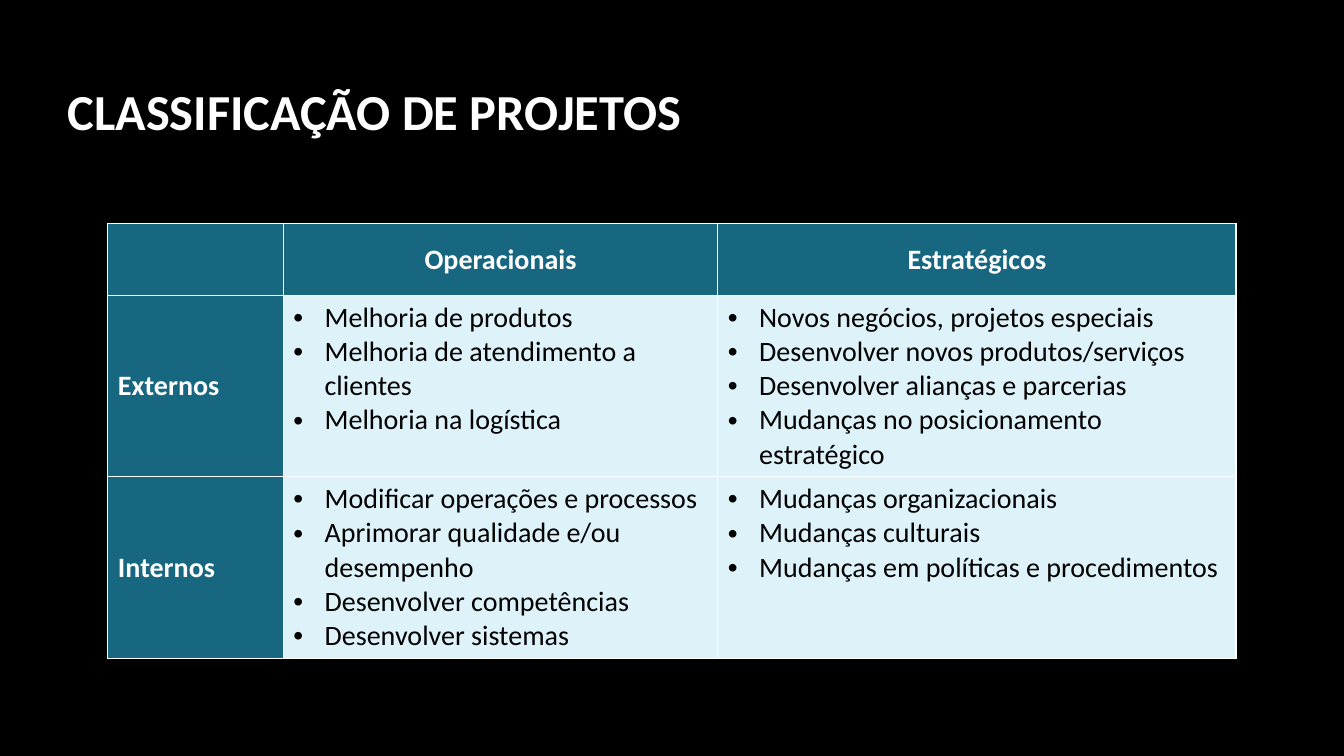
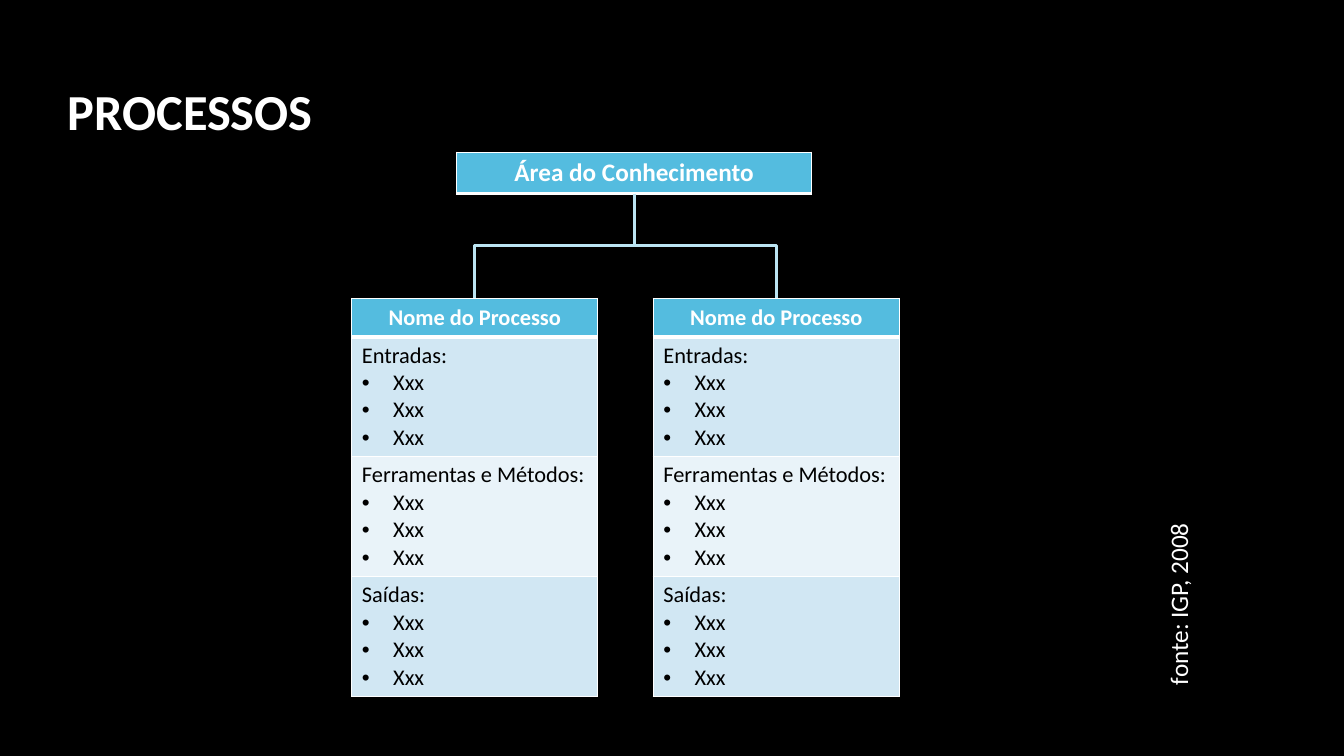
import pptx
import pptx.dml.color
import pptx.enum.shapes
import pptx.enum.text
import pptx.oxml.ns
import pptx.util
from lxml import etree

Inches = pptx.util.Inches
Pt = pptx.util.Pt
RGBColor = pptx.dml.color.RGBColor
Align = pptx.enum.text.PP_ALIGN
Anchor = pptx.enum.text.MSO_ANCHOR
qn = pptx.oxml.ns.qn

BLACK = RGBColor(0x00, 0x00, 0x00)
WHITE = RGBColor(0xFF, 0xFF, 0xFF)
TEAL = RGBColor(0x18, 0x67, 0x81)
PALE_BLUE = RGBColor(0xDD, 0xF2, 0xF9)
SKY = RGBColor(0x54, 0xBC, 0xDF)
BAND_DARK = RGBColor(0xD1, 0xE7, 0xF3)
BAND_LIGHT = RGBColor(0xE9, 0xF3, 0xF9)
BRANCH = RGBColor(0xBB, 0xE4, 0xF2)
FONT = "Calibri"
THIN, THICK = 1, 3

CLASSES = ["Operacionais", "Estratégicos"]
PROJECTS = {
    "Externos": [
        ["Melhoria de produtos", "Melhoria de atendimento a clientes",
         "Melhoria na logística"],
        ["Novos negócios, projetos especiais",
         "Desenvolver novos produtos/serviços",
         "Desenvolver alianças e parcerias",
         "Mudanças no posicionamento estratégico"],
    ],
    "Internos": [
        ["Modificar operações e processos",
         "Aprimorar qualidade e/ou desempenho",
         "Desenvolver competências", "Desenvolver sistemas"],
        ["Mudanças organizacionais", "Mudanças culturais",
         "Mudanças em políticas e procedimentos"],
    ],
}
PROCESS_PARTS = ["Entradas:", "Ferramentas e Métodos:", "Saídas:"]


def add_run(paragraph, text, size, color, bold=False):
    run = paragraph.add_run()
    run.text = text
    run.font.name = FONT
    run.font.size = Pt(size)
    run.font.bold = bold
    run.font.color.rgb = color


def add_bullet(paragraph):
    properties = paragraph._p.get_or_add_pPr()
    properties.set("marL", str(Inches(0.31)))
    properties.set("indent", str(-Inches(0.31)))
    etree.SubElement(properties, qn("a:buFont")).set("typeface", "Arial")
    etree.SubElement(properties, qn("a:buChar")).set("char", "•")


def paint_cell(cell, color, top=THIN, bottom=THIN):
    properties = cell._tc.get_or_add_tcPr()
    for side, weight in (("L", THIN), ("R", THIN), ("T", top), ("B", bottom)):
        border = etree.SubElement(properties, qn("a:ln" + side))
        border.set("w", str(Pt(weight)))
        fill = etree.SubElement(border, qn("a:solidFill"))
        etree.SubElement(fill, qn("a:srgbClr")).set("val", str(WHITE))
    cell.fill.solid()
    cell.fill.fore_color.rgb = color


def write_heading(cell, text, size, align=Align.CENTER):
    cell.vertical_anchor = Anchor.MIDDLE
    paragraph = cell.text_frame.paragraphs[0]
    paragraph.alignment = align
    add_run(paragraph, text, size, WHITE, bold=True)


def write_list(cell, items, size, lead=None):
    lines = ([lead] if lead else []) + items
    for index, text in enumerate(lines):
        frame = cell.text_frame
        paragraph = frame.add_paragraph() if index else frame.paragraphs[0]
        if not (lead and index == 0):
            add_bullet(paragraph)
        add_run(paragraph, text, size, BLACK)


def add_grid(slide, left, top, widths, heights):
    grid = slide.shapes.add_table(
        len(heights), len(widths), Inches(left), Inches(top),
        Inches(sum(widths)), Inches(sum(heights))).table
    grid.first_row = False
    grid.horz_banding = False
    for column, width in zip(grid.columns, widths):
        column.width = Inches(width)
    for row, height in zip(grid.rows, heights):
        row.height = Inches(height)
    return grid


def add_titled_slide(deck, text):
    slide = deck.slides.add_slide(deck.slide_layouts[5])
    title = slide.shapes.title
    title.left, title.top = Inches(0.57), Inches(0.39)
    title.width, title.height = Inches(12.21), Inches(1.48)
    title.text_frame.vertical_anchor = Anchor.MIDDLE
    paragraph = title.text_frame.paragraphs[0]
    paragraph.alignment = Align.LEFT
    paragraph.line_spacing = 0.9
    add_run(paragraph, text, 36, WHITE, bold=True)
    return slide


def add_project_matrix(slide, left, top):
    matrix = add_grid(slide, left, top, [1.74, 4.31, 5.14], [0.71, 1.8, 1.8])
    paint_cell(matrix.cell(0, 0), TEAL)
    for column, name in enumerate(CLASSES, 1):
        paint_cell(matrix.cell(0, column), TEAL)
        write_heading(matrix.cell(0, column), name, 20)
    for row, (scope, lists) in enumerate(PROJECTS.items(), 1):
        paint_cell(matrix.cell(row, 0), TEAL)
        write_heading(matrix.cell(row, 0), scope, 20, Align.LEFT)
        for column, items in enumerate(lists, 1):
            paint_cell(matrix.cell(row, column), PALE_BLUE)
            write_list(matrix.cell(row, column), items, 20)


def add_process_card(slide, left, top, width):
    card = add_grid(slide, left, top, [width], [0.38] + [1.19] * 3)
    paint_cell(card.cell(0, 0), SKY, bottom=THICK)
    write_heading(card.cell(0, 0), "Nome do Processo", 16)
    for row, part in enumerate(PROCESS_PARTS, 1):
        paint_cell(card.cell(row, 0), BAND_DARK if row % 2 else BAND_LIGHT,
                   top=THICK if row == 1 else THIN)
        write_list(card.cell(row, 0), ["Xxx"] * 3, 16, lead=part)


def add_area_box(slide, left, top, width, height):
    area = add_grid(slide, left, top, [width], [height])
    paint_cell(area.cell(0, 0), SKY, bottom=THICK)
    write_heading(area.cell(0, 0), "Área do Conhecimento", 18)


def add_branch(slide, start_x, start_y, end_x, end_y):
    drop, span = end_y - start_y, abs(end_x - start_x)
    left = (start_x + end_x - drop) / 2
    top = (start_y + end_y - span) / 2
    to_right = end_x > start_x
    begin, end = (left + drop, left) if to_right else (left, left + drop)
    branch = slide.shapes.add_connector(
        pptx.enum.shapes.MSO_CONNECTOR.ELBOW,
        Inches(begin), Inches(top), Inches(end), Inches(top + span))
    branch.line.color.rgb = BRANCH
    branch.line.width = Pt(2.25)
    properties = branch.element.spPr
    properties.find(qn("a:xfrm")).set("rot", str((270 if to_right else 90) * 60000))
    etree.SubElement(properties, qn("a:effectLst"))


def add_source_note(slide, left, top, width, height):
    note = slide.shapes.add_textbox(
        Inches(left), Inches(top), Inches(width), Inches(height))
    note.rotation = 270
    note.text_frame.word_wrap = False
    note.text_frame.auto_size = pptx.enum.text.MSO_AUTO_SIZE.SHAPE_TO_FIT_TEXT
    add_run(note.text_frame.paragraphs[0], "fonte: IGP, 2008", 18, WHITE)


def add_process_tree(slide, left, top):
    card_width, card_pitch, card_top = 2.44, 2.99, top + 1.45
    area_left, area_width, area_height = left + 1.04, 3.52, 0.41
    card_lefts = [left, left + card_pitch]
    for card_left in card_lefts:
        add_process_card(slide, card_left, card_top, card_width)
    add_area_box(slide, area_left, top, area_width, area_height)
    for card_left in card_lefts:
        add_branch(slide, area_left + area_width / 2, top + area_height,
                   card_left + card_width / 2, card_top)


def main():
    deck = pptx.Presentation()
    deck.slide_width, deck.slide_height = Inches(13.33), Inches(7.5)
    backdrop = deck.slide_master.background.fill
    backdrop.solid()
    backdrop.fore_color.rgb = BLACK

    classification = add_titled_slide(deck, "CLASSIFICAÇÃO DE PROJETOS")
    add_project_matrix(classification, 1.07, 2.22)

    processes = add_titled_slide(deck, "PROCESSOS")
    add_process_tree(processes, 3.49, 1.51)
    add_source_note(processes, 10.73, 5.74, 1.91, 0.4)

    deck.save("out.pptx")


if __name__ == "__main__":
    main()
